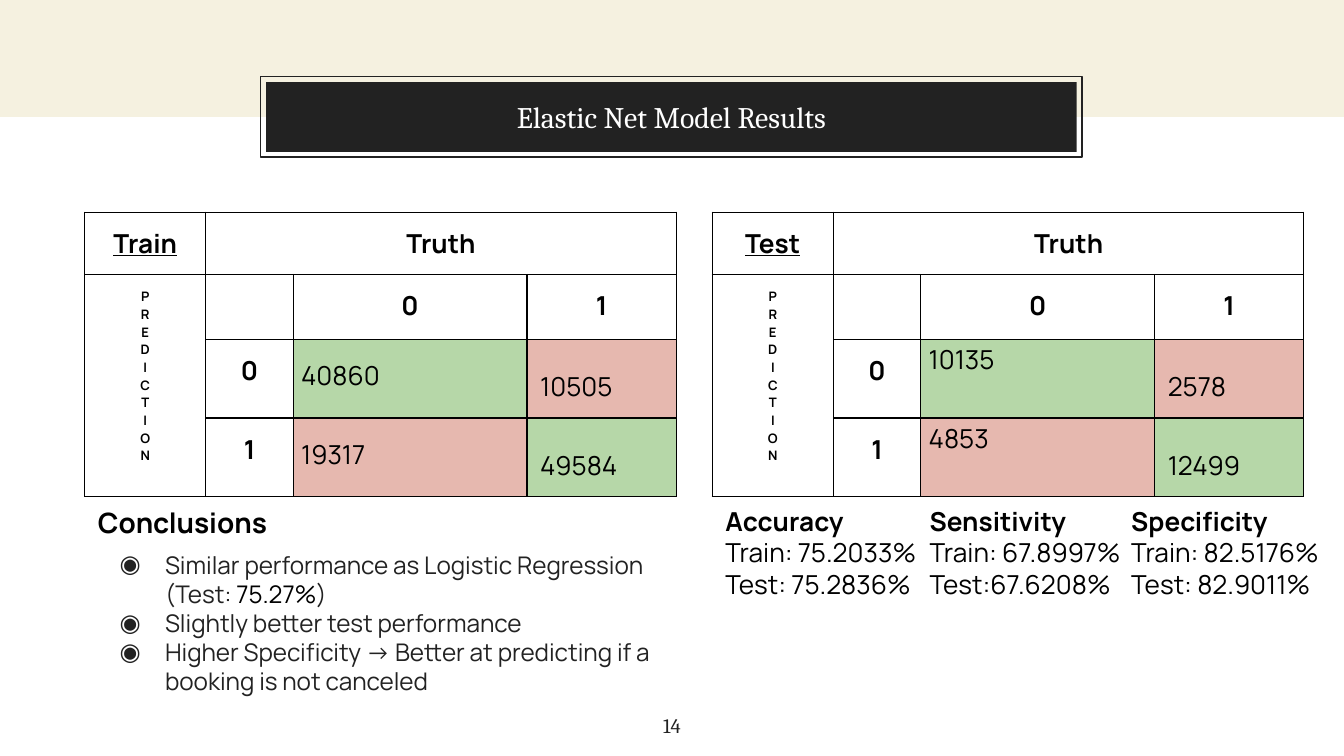
from lxml.etree import SubElement
from pptx import Presentation
from pptx.dml.color import RGBColor
from pptx.enum.shapes import MSO_SHAPE
from pptx.enum.text import MSO_ANCHOR, MSO_AUTO_SIZE, PP_ALIGN
from pptx.oxml.ns import qn
from pptx.util import Cm, Pt

INK, BLACK, WHITE, CREAM = "222222", "000000", "FFFFFF", "F5F1E0"
GREEN, RED = "B6D7A8", "E6B8AF"
HEADING, BODY = "Cambria", "Manrope"
INSET = 0.25
COLUMNS = [2.29, 1.65, 4.42, 2.82]
ROWS = [1.18, 1.22, 1.49, 1.49]


def color(code):
    return RGBColor.from_string(code)


def paint(shape, fill=None, line=None):
    shape.shadow.inherit = False
    if fill:
        shape.fill.solid()
        shape.fill.fore_color.rgb = color(fill)
    else:
        shape.fill.background()
    if line:
        shape.line.color.rgb = color(line)
        shape.line.width = Pt(0.75)
    else:
        shape.line.fill.background()


def place(shape, box):
    shape.left, shape.top, shape.width, shape.height = (Cm(length) for length in box)


def set_margins(target, across=INSET, down=INSET):
    target.margin_left = target.margin_right = Cm(across)
    target.margin_top = target.margin_bottom = Cm(down)


def prepare(frame, anchor=MSO_ANCHOR.TOP):
    frame.word_wrap = True
    frame.auto_size = MSO_AUTO_SIZE.NONE
    frame.vertical_anchor = anchor
    set_margins(frame)


def add_span(para, text, size, font=BODY, code=BLACK, bold=False, underline=False):
    span = para.add_run()
    span.text = text
    span.font.size = Pt(size)
    span.font.name = font
    span.font.color.rgb = color(code)
    span.font.bold = bold
    span.font.underline = underline


def next_para(frame, index):
    return frame.add_paragraph() if index else frame.paragraphs[0]


def set_bullet(para):
    properties = para._p.get_or_add_pPr()
    properties.set("marL", str(Cm(1.27)))
    properties.set("indent", str(Cm(-0.86)))
    bullet_color = SubElement(properties, qn("a:buClr"))
    SubElement(bullet_color, qn("a:srgbClr"), val=INK)
    SubElement(properties, qn("a:buChar"), char="◉")


def add_header(page, box):
    left, top, width, height = box
    band = page.shapes.add_shape(MSO_SHAPE.RECTANGLE, 0, 0, Cm(25.4), Cm(2.21))
    paint(band, CREAM)
    frame = page.shapes.add_shape(MSO_SHAPE.RECTANGLE, *map(Cm, box))
    paint(frame, line=INK)
    title = page.shapes.title
    title.element.addprevious(band.element)
    title.element.addprevious(frame.element)
    place(title, (left + 0.1, top + 0.1, width - 0.2, height - 0.2))
    paint(title, INK)
    prepare(title.text_frame, MSO_ANCHOR.MIDDLE)
    para = title.text_frame.paragraphs[0]
    para.alignment = PP_ALIGN.CENTER
    add_span(para, "Elastic Net Model Results", 16, HEADING, WHITE)


def add_page_number(page, box):
    number = page.shapes.add_textbox(*map(Cm, box))
    prepare(number.text_frame)
    para = number.text_frame.paragraphs[0]
    para.alignment = PP_ALIGN.CENTER
    add_span(para, "14", 11, HEADING, INK)


def add_conclusions(page, box):
    body = page.placeholders[1]
    place(body, box)
    frame = body.text_frame
    prepare(frame)
    heading = frame.paragraphs[0]
    heading.space_before = Pt(0)
    properties = heading._p.get_or_add_pPr()
    properties.set("marL", "0")
    properties.set("indent", "0")
    SubElement(properties, qn("a:buNone"))
    add_span(heading, "Conclusions", 15, bold=True)
    points = [
        [("Similar performance as Logistic Regression (Test: ", INK), ("75.27%", BLACK), (")", INK)],
        [("Slightly better test performance", INK)],
        [("Higher Specificity -> Better at predicting if a booking is not canceled", INK)],
    ]
    for index, point in enumerate(points):
        para = frame.add_paragraph()
        para.space_before = Pt(0 if index else 6)
        set_bullet(para)
        for text, code in point:
            add_span(para, text, 13, code=code)


def add_metric(page, box, name, lines):
    metric = page.shapes.add_textbox(*map(Cm, box))
    prepare(metric.text_frame)
    for index, text in enumerate([name, *lines]):
        add_span(next_para(metric.text_frame, index), text, 14, bold=index == 0)


def style_cell(cell, fill=WHITE):
    properties = cell._tc.get_or_add_tcPr()
    for side in ("a:lnL", "a:lnR", "a:lnT", "a:lnB"):
        border = SubElement(properties, qn(side), w=str(Pt(0.75)))
        SubElement(SubElement(border, qn("a:solidFill")), qn("a:srgbClr"), val=BLACK)
    cell.fill.solid()
    cell.fill.fore_color.rgb = color(fill)
    set_margins(cell)


def write_label(cell, lines, size=14, underline=False):
    for index, text in enumerate(lines):
        para = next_para(cell.text_frame, index)
        para.alignment = PP_ALIGN.CENTER
        add_span(para, text, size, bold=True, underline=underline)


def add_confusion_matrix(page, left, top, name, counts, first_spacing):
    table = page.shapes.add_table(
        4, 4, Cm(left), Cm(top), Cm(sum(COLUMNS)), Cm(sum(ROWS))
    ).table
    table.first_row = table.horz_banding = False
    for column, width in zip(table.columns, COLUMNS):
        column.width = Cm(width)
    for row, height in zip(table.rows, ROWS):
        row.height = Cm(height)
    for cell in table.iter_cells():
        style_cell(cell)
    table.cell(0, 1).merge(table.cell(0, 3))
    table.cell(1, 0).merge(table.cell(3, 0))
    set_margins(table.cell(1, 1), 0, 0)
    write_label(table.cell(0, 0), [name], underline=True)
    write_label(table.cell(0, 1), ["Truth"])
    write_label(table.cell(1, 0), "PREDICTION", size=7)
    for index in range(2):
        write_label(table.cell(1, 2 + index), [str(index)])
        write_label(table.cell(2 + index, 1), [str(index)])
        for truth in range(2):
            cell = table.cell(2 + index, 2 + truth)
            cell.fill.fore_color.rgb = color(GREEN if index == truth else RED)
            para = cell.text_frame.paragraphs[0]
            para.line_spacing = 1.45 if truth else first_spacing
            if truth == 0:
                set_margins(cell, 0.15, 0.05)
            add_span(para, str(counts[index][truth]), 14)


def main():
    deck = Presentation()
    deck.slide_width, deck.slide_height = Cm(25.4), Cm(14.29)
    page = deck.slides.add_slide(deck.slide_layouts[1])
    add_header(page, (4.93, 1.45, 15.52, 1.52))
    add_page_number(page, (11.94, 13.23, 1.52, 0.84))
    add_conclusions(page, (1.6, 9.3, 11.86, 4.39))
    add_confusion_matrix(page, 13.46, 4.01, "Test", [(10135, 2578), (4853, 12499)], 1.0)
    metrics = [
        (13.46, "Accuracy", ["Train: 75.2033%", "Test: 75.2836%"]),
        (17.32, "Sensitivity", ["Train: 67.8997%", "Test:67.6208%"]),
        (21.13, "Specificity", ["Train: 82.5176%", "Test: 82.9011%"]),
    ]
    for left, name, lines in metrics:
        add_metric(page, (left, 9.3, 4.11, 2.46), name, lines)
    add_confusion_matrix(page, 1.6, 4.01, "Train", [(40860, 10505), (19317, 49584)], 1.45)
    deck.save("out.pptx")


if __name__ == "__main__":
    main()
